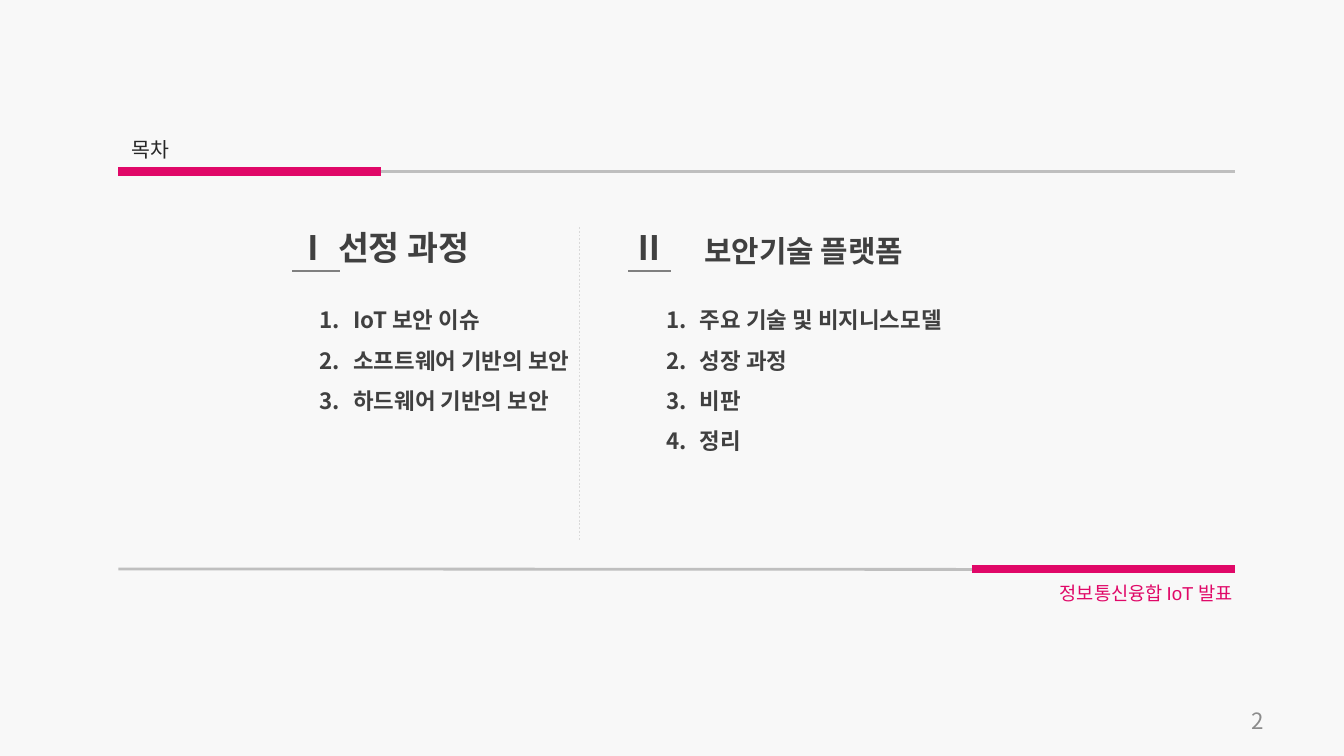
from lxml import etree
from pptx import Presentation
from pptx.dml.color import RGBColor
from pptx.enum import dml, shapes, text
from pptx.oxml import ns
from pptx.util import Pt

TITLE = "목차"
FOOTER = "정보통신융합 IoT 발표"
PAGE_NUMBER = "2"

# Boxes are (left, top, width, height); rules are (x1, y1, x2, y2).
SECTIONS = [
    {
        "headings": [("Ⅰ 선정 과정", (151.9, 118, 150.5, 29), "heading", "left")],
        "underline": (156.5, 145.2, 182.2, 145.2),
        "items": ["IoT 보안 이슈", "소프트웨어 기반의 보안", "하드웨어 기반의 보안"],
        "list_box": (164.2, 153.4, 154.8, 72.7),
    },
    {
        "headings": [
            ("Ⅱ", (331.9, 118, 80.6, 29), "heading", "left"),
            ("보안기술 플랫폼", (352.8, 121, 155.5, 26.6), "subheading", "center"),
        ],
        "underline": (336.5, 145.2, 359.4, 145.2),
        "items": ["주요 기술 및 비지니스모델", "성장 과정", "비판", "정리"],
        "list_box": (349.9, 153.4, 200.9, 92.2),
    },
]

FRAME_RULES = [
    ((63.4, 304.8, 589, 305.1), "gray", 1.5),
    ((520.6, 304.8, 661.7, 304.8), "accent", 4.5),
    ((136.1, 91.9, 661.7, 91.9), "gray", 1.5),
    ((63.4, 91.9, 204.3, 91.9), "accent", 4.5),
]
DIVIDER = (310.5, 121.7, 310.5, 289.4)

THEME = {
    "korean_font": "Noto Sans CJK KR",
    "colors": {
        "background": "F8F8F8", "accent": "E00868", "gray": "BFBFBF",
        "light": "D9D9D9", "mid": "808080", "title": "262626",
        "body": "404040", "number": "8C8C8C",
    },
    # style: (size, font, color, bold)
    "styles": {
        "title": (11, "Arial", "title", False),
        "footer": (10, "Arial", "accent", False),
        "heading": (18, "Noto Sans CJK KR", "body", True),
        "subheading": (16, "Noto Sans CJK KR", "body", True),
        "item": (12, "Noto Sans CJK KR", "body", True),
        "number": (12, "Noto Sans CJK KR", "number", False),
    },
}
ALIGN = {
    "left": text.PP_ALIGN.LEFT,
    "center": text.PP_ALIGN.CENTER,
    "right": text.PP_ALIGN.RIGHT,
}


def color(name):
    return RGBColor.from_string(THEME["colors"][name])


def add_span(para, words, style):
    size, font, color_name, bold = THEME["styles"][style]
    span = para.add_run()
    span.text = words
    span.font.size = Pt(size)
    span.font.bold = bold
    span.font.color.rgb = color(color_name)
    span.font.name = font
    east_asian = etree.SubElement(span.font._element, ns.qn("a:ea"))
    east_asian.set("typeface", THEME["korean_font"])


def number_para(para):
    """Number a paragraph 1., 2., ... with a hanging indent."""
    para.line_spacing = 1.5
    properties = para._p.get_or_add_pPr()
    properties.set("marL", str(Pt(18)))
    properties.set("indent", str(-Pt(18)))
    font = etree.SubElement(properties, ns.qn("a:buFont"))
    font.set("typeface", "+mj-lt")
    bullet = etree.SubElement(properties, ns.qn("a:buAutoNum"))
    bullet.set("type", "arabicPeriod")


def fill_box(box, lines, style, align="left", numbered=False,
             anchor=text.MSO_ANCHOR.TOP):
    frame = box.text_frame
    frame.word_wrap = True
    frame.auto_size = text.MSO_AUTO_SIZE.NONE
    frame.vertical_anchor = anchor
    for index, line in enumerate(lines):
        para = frame.add_paragraph() if index else frame.paragraphs[0]
        para.alignment = ALIGN[align]
        if numbered:
            number_para(para)
        add_span(para, line, style)


def add_text(page, area, lines, style, **options):
    box = page.shapes.add_textbox(*map(Pt, area))
    fill_box(box, lines, style, **options)


def add_rule(page, ends, color_name, width, dash=None):
    rule = page.shapes.add_connector(
        shapes.MSO_CONNECTOR.STRAIGHT, *map(Pt, ends))
    rule.line.color.rgb = color(color_name)
    rule.line.width = Pt(width)
    if dash:
        rule.line.dash_style = dash
    etree.SubElement(rule._element.spPr, ns.qn("a:effectLst"))


def add_section(page, section):
    for words, area, style, align in section["headings"]:
        add_text(page, area, [words], style, align=align)
    add_rule(page, section["underline"], "mid", 1)
    add_text(page, section["list_box"], section["items"], "item", numbered=True)


def main():
    deck = Presentation()
    deck.slide_width, deck.slide_height = Pt(720), Pt(405)
    page = deck.slides.add_slide(deck.slide_layouts[5])
    page.background.fill.solid()
    page.background.fill.fore_color.rgb = color("background")

    title = page.shapes.title
    title.left, title.top, title.width, title.height = map(
        Pt, (63.4, 69.8, 133.2, 20.9))
    fill_box(title, [TITLE], "title")

    for ends, color_name, width in FRAME_RULES:
        add_rule(page, ends, color_name, width)
    add_rule(page, DIVIDER, "light", 1, dml.MSO_LINE.ROUND_DOT)
    for section in SECTIONS:
        add_section(page, section)
    add_text(page, (534.2, 308.2, 133.2, 20.2), [FOOTER], "footer", align="right")
    add_text(page, (516.2, 375.1, 167.8, 21.6), [PAGE_NUMBER], "number",
             align="right", anchor=text.MSO_ANCHOR.MIDDLE)
    deck.save("out.pptx")


if __name__ == "__main__":
    main()
